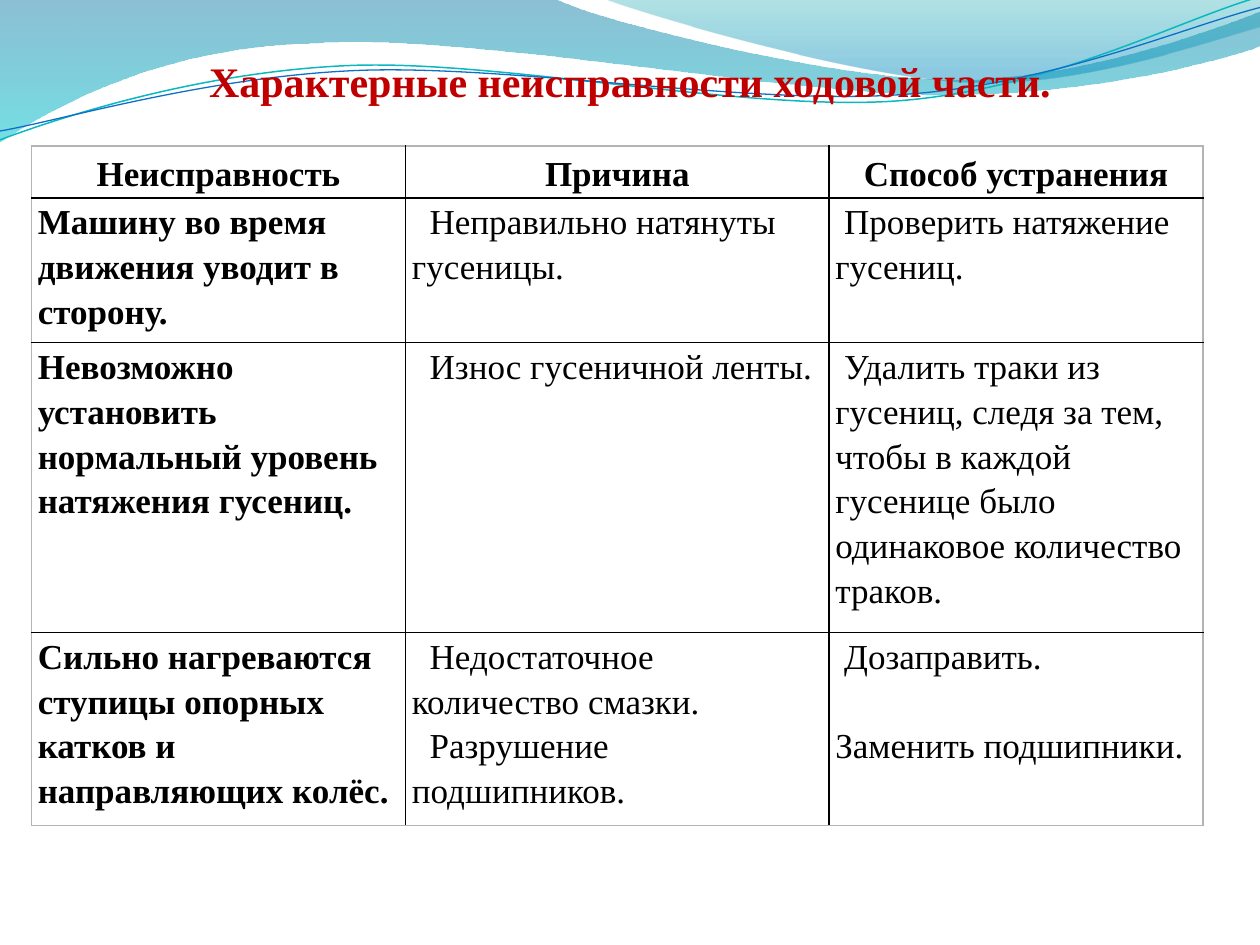
from dataclasses import dataclass
from math import cos, radians, sin
from lxml.etree import SubElement
from pptx import Presentation
from pptx.dml.color import RGBColor
from pptx.enum.text import MSO_ANCHOR, PP_ALIGN
from pptx.oxml.ns import qn
from pptx.util import Inches, Pt


@dataclass(frozen=True)
class Theme:
    """Colours, font and type sizes of the slide."""
    font: str = "Times New Roman"
    title_size: int = 24
    table_size: int = 20
    title: str = "C00000"
    ink: str = "000000"
    frame: str = "B4B4B4"
    teal: str = "0AB8BF"
    blue: str = "0F6FC6"


THEME = Theme()
TITLE = "Характерные неисправности ходовой части."
HEADER = ["Неисправность", "Причина", "Способ устранения"]
# Each cell is a list of (text, first-line indent, blank lines above).
FAULTS = [
    [[("Машину во время движения уводит в сторону.", 0, 0)],
     [("Неправильно натянуты гусеницы.", 0.14, 0)],
     [("Проверить натяжение гусениц.", 0.07, 0)]],
    [[("Невозможно установить нормальный уровень натяжения гусениц.", 0, 0)],
     [("Износ гусеничной ленты.", 0.14, 0)],
     [("Удалить траки из гусениц, следя за тем, чтобы в каждой гусенице было "
       "одинаковое количество траков.", 0.07, 0)]],
    [[("Сильно нагреваются ступицы опорных катков и направляющих колёс.", 0, 0)],
     [("Недостаточное количество смазки.", 0.14, 0),
      ("Разрушение подшипников.", 0.14, 0)],
     [("Дозаправить.", 0.07, 0), ("Заменить подшипники.", 0, 1)]],
]
ROWS = [[[(text, 0, 0)] for text in HEADER]] + FAULTS
COLUMN_WIDTHS = [2.97, 3.36, 2.97]
ROW_HEIGHTS = [0.41, 1.15, 2.3, 1.53]
LINE_PITCH = 25.5

# An outline is a start point, then line ends (2 numbers) or Bezier curves (6).
BANDS = [
    ([(0, 0), (4.4, -0.01), (4.76, 0.17, 6.64, 0.63, 7.58, 0.63),
      (8.53, 0.63, 9.58, 0.26, 10, 0.09), (10.01, 0.36),
      (9.83, 0.44, 8.7, 0.76, 7.46, 0.75), (6.22, 0.75, 3.82, 0.28, 2.57, 0.34),
      (1.29, 0.36, 0.46, 0.83, -0.01, 1.13)],
     [(0, "0074A1", 45), (1, "00C6CF", 55)]),
    ([(4.79, -0.01), (5.09, 0.11, 6.82, 0.62, 7.69, 0.65),
      (8.56, 0.69, 9.61, 0.32, 10, 0.21), (10, 0)],
     [(0, "00A1A9", 30), (0.8, "008BBF", 45)]),
]
# A wave is an outline as seen, its centre, colour and line width.
WAVES = [
    ([(0, 1.11), (0.48, 0.93, 1.58, 0.57, 2.77, 0.52),
      (3.95, 0.47, 5.93, 0.89, 7.13, 0.8), (8.33, 0.71, 9.38, 0.15, 9.98, -0.02)],
     (4.99, 0.57), THEME.teal, 0.85),
    ([(0, 1.04), (0.47, 0.96, 1.64, 0.61, 2.83, 0.56),
      (4.03, 0.51, 5.97, 0.84, 7.17, 0.75), (8.36, 0.67, 9.41, 0.21, 10, 0.06)],
     (5, 0.59), THEME.blue, 0.75),
]
WAVE_TILT = -2.7


def rgb(code):
    """Turn a hex code into a colour."""
    return RGBColor.from_string(code)


def turn(part, centre, degrees):
    """Turn every point of an outline part clockwise about a centre."""
    cosine, sine = cos(radians(degrees)), sin(radians(degrees))
    turned = []
    for x, y in zip(part[::2], part[1::2]):
        across, down = x - centre[0], y - centre[1]
        turned += [centre[0] + across * cosine - down * sine,
                   centre[1] + across * sine + down * cosine]
    return turned


def add_outline(page, outline, close):
    """Draw an outline of lines and Bezier curves as a freeform."""
    points = [(Inches(x), Inches(y)) for part in outline
              for x, y in zip(part[::2], part[1::2])]
    builder = page.shapes.build_freeform(*points[0])
    builder.add_line_segments(points[1:], close=close)
    shape = builder.convert_to_shape()
    shape.shadow.inherit = False
    segments = iter(list(shape.element.iter(qn("a:lnTo"))))
    for part in outline[1:]:
        first = next(segments)
        if len(part) == 6:
            first.tag = qn("a:cubicBezTo")
            for _ in range(2):
                extra = next(segments)
                first.append(extra[0])
                extra.getparent().remove(extra)
    return shape


def add_band(page, outline, stops):
    """Draw a closed band with a see-through vertical gradient."""
    band = add_outline(page, outline, True)
    band.line.fill.background()
    band.fill.gradient()
    band.fill.gradient_angle = 270
    for stop, (position, colour, _) in zip(band.fill.gradient_stops, stops):
        stop.position = position
        stop.color.rgb = rgb(colour)
    for node, (_, _, opacity) in zip(band.element.iter(qn("a:srgbClr")), stops):
        SubElement(node, qn("a:alpha"), val=str(opacity * 1000))


def add_wave(page, outline, centre, colour, width):
    """Draw an open curved line, tilted as a whole."""
    level = [turn(part, centre, -WAVE_TILT) for part in outline]
    wave = add_outline(page, level, False)
    wave.rotation = WAVE_TILT
    wave.fill.background()
    wave.line.color.rgb = rgb(colour)
    wave.line.width = Pt(width)


def set_font(para, size, colour, bold):
    """Set the font of a whole paragraph."""
    para.font.name = THEME.font
    para.font.size = Pt(size)
    para.font.bold = bold
    para.font.color.rgb = rgb(colour)


def set_borders(cell, outer):
    """Give the cell black inner borders and pale borders on outer sides."""
    properties = cell._tc.get_or_add_tcPr()
    for place, side in enumerate(("lnL", "lnR", "lnT", "lnB")):
        line = properties.makeelement(qn("a:" + side), {"w": str(Pt(1))})
        properties.insert(place, line)
        fill = SubElement(line, qn("a:solidFill"))
        SubElement(fill, qn("a:srgbClr"),
                   val=THEME.frame if side in outer else THEME.ink)


def fill_cell(cell, content, header, bold):
    """Write and format the paragraphs of one cell."""
    cell.fill.background()
    cell.margin_left = cell.margin_right = Inches(0.05)
    cell.margin_top = cell.margin_bottom = 0
    cell.vertical_anchor = MSO_ANCHOR.MIDDLE if header else MSO_ANCHOR.TOP
    cell.text = "\n".join(text for text, _, _ in content)
    for para, (_, indent, gap) in zip(cell.text_frame.paragraphs, content):
        set_font(para, THEME.table_size, THEME.ink, bold)
        para.alignment = PP_ALIGN.CENTER if header else PP_ALIGN.LEFT
        para.line_spacing = 1.15
        para.space_before = Pt(gap * LINE_PITCH)
        para._p.get_or_add_pPr().set("indent", str(Inches(indent)))


def add_title(page):
    """Place the heading in the title placeholder, above the waves."""
    box = page.shapes.title
    box.left, box.top, box.width, box.height = map(Inches, (0.47, 0.39, 9.06, 0.81))
    box.text_frame.text = TITLE
    box.text_frame.vertical_anchor = MSO_ANCHOR.TOP
    para = box.text_frame.paragraphs[0]
    para.alignment = PP_ALIGN.CENTER
    set_font(para, THEME.title_size, THEME.title, True)
    page.shapes._spTree.append(box.element)


def add_fault_table(page):
    """Build the table of faults, causes and remedies."""
    frame = page.shapes.add_table(
        len(ROWS), len(HEADER), Inches(0.25), Inches(1.16),
        Inches(sum(COLUMN_WIDTHS)), Inches(sum(ROW_HEIGHTS)))
    table = frame.table
    table.horz_banding = False
    for column, width in zip(table.columns, COLUMN_WIDTHS):
        column.width = Inches(width)
    for r, (row, height) in enumerate(zip(ROWS, ROW_HEIGHTS)):
        table.rows[r].height = Inches(height)
        for c, content in enumerate(row):
            cell = table.cell(r, c)
            fill_cell(cell, content, r == 0, r == 0 or c == 0)
            edges = {"lnL": c == 0, "lnR": c == len(row) - 1,
                     "lnT": r == 0, "lnB": r == len(ROWS) - 1}
            set_borders(cell, [side for side, outer in edges.items() if outer])


deck = Presentation()
deck.slide_width, deck.slide_height = Inches(10), Inches(7.5)
page = deck.slides.add_slide(deck.slide_layouts[5])
for band in BANDS:
    add_band(page, *band)
for wave in WAVES:
    add_wave(page, *wave)
add_title(page)
add_fault_table(page)
deck.save("out.pptx")
